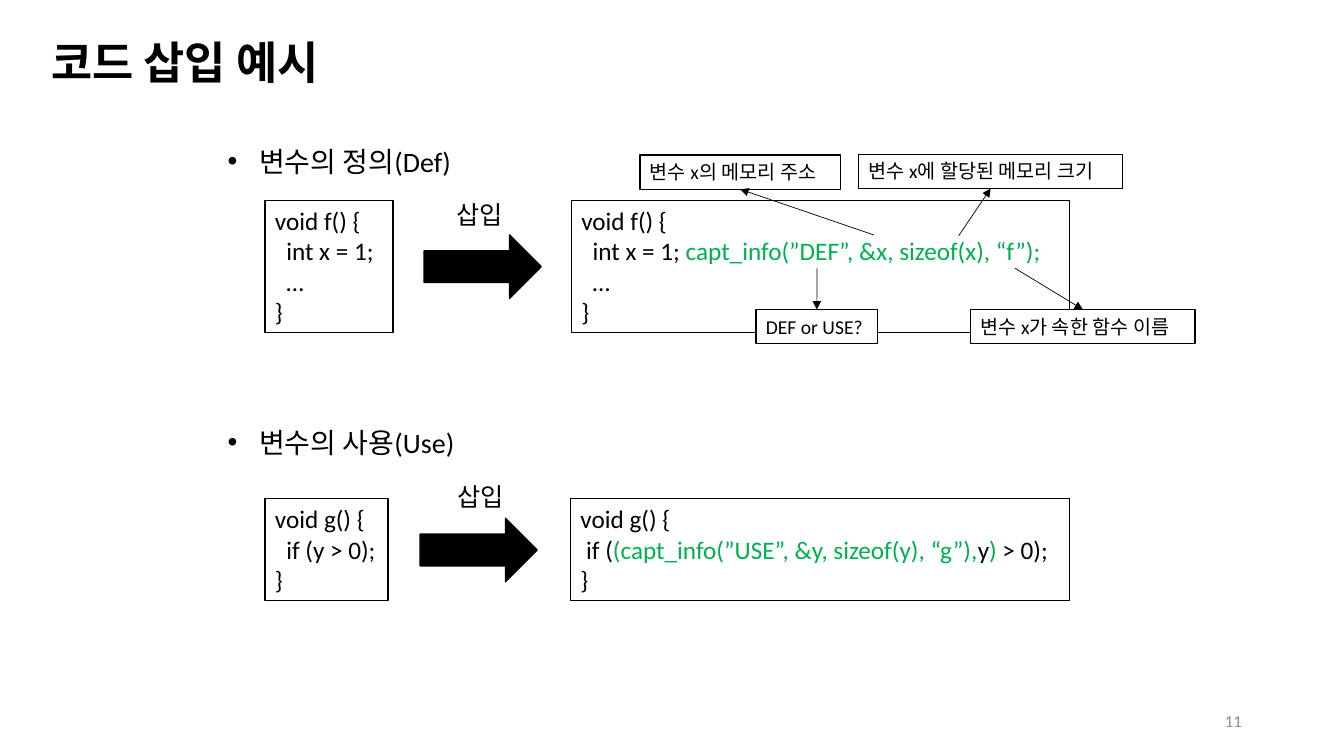
"""Build the slide that shows how probe code is inserted at variable definitions and uses."""
from pptx import Presentation
from pptx.dml.color import RGBColor
from pptx.enum.shapes import MSO_CONNECTOR, MSO_SHAPE
from pptx.enum.text import MSO_ANCHOR, MSO_AUTO_SIZE, PP_ALIGN
from pptx.oxml.ns import qn
from pptx.util import Cm, Pt

BLACK = RGBColor(0x00, 0x00, 0x00)
WHITE = RGBColor(0xFF, 0xFF, 0xFF)
GREEN = RGBColor(0x00, 0xB0, 0x50)
GRAY = RGBColor(0x8C, 0x8C, 0x8C)
STRAIGHT = MSO_CONNECTOR.STRAIGHT
RIGHT_ARROW = MSO_SHAPE.RIGHT_ARROW
TOP, MIDDLE = MSO_ANCHOR.TOP, MSO_ANCHOR.MIDDLE
LEFT, RIGHT = PP_ALIGN.LEFT, PP_ALIGN.RIGHT
GROW = MSO_AUTO_SIZE.SHAPE_TO_FIT_TEXT
TOP_SITE, BOTTOM_SITE = 0, 2

TITLE = {"name": "Arial", "size": Pt(32), "bold": True}
HEADING = {"name": "Calibri", "size": Pt(20)}
CODE = {"name": "Calibri", "size": Pt(18)}
NOTE = {"name": "Calibri", "size": Pt(14)}
PAGE = {"name": "Calibri", "size": Pt(12)}

SECTIONS = [
    {
        "heading": ("변수의 정의(Def)", 3.51),
        "before": ((6.68, 5.05, 3.23, 3.33),
                   ["void f() {", "  int x = 1;", "  …", "}"], True),
        "after": ((14.4, 5.05, 12.55, 3.33),
                  ["void f() {",
                   [("  int x = 1; ", BLACK),
                    ("capt_info(”DEF”, &x, sizeof(x), “f”);", GREEN)],
                   "  …", "}"], False),
        "arrow": (10.69, 5.92),
        "label": (11.25, 4.9),
    },
    {
        "heading": ("변수의 사용(Use)", 10.59),
        "before": ((6.68, 12.57, 3.1, 2.57),
                   ["void g() {", "  if (y > 0);", "}"], False),
        "after": ((14.38, 12.57, 12.57, 2.57),
                  ["void g() {",
                   [(" if (", BLACK),
                    ("(capt_info(”USE”, &y, sizeof(y), “g”),", GREEN),
                    ("y", BLACK), (")", GREEN), (" > 0);", BLACK)],
                   "}"], False),
        "arrow": (10.59, 13.06),
        "label": (11.28, 12.01),
    },
]

CALLOUTS = [
    ("변수 x의 메모리 주소", (16.13, 3.91, 5.05, 0.86), False, (22.02, 5.92), BOTTOM_SITE),
    ("변수 x에 할당된 메모리 크기", (21.64, 3.89, 6.65, 0.86), False, (24.16, 5.94), BOTTOM_SITE),
    ("변수 x가 속한 함수 이름", (24.46, 7.8, 5.66, 0.86), False, (25.58, 6.76), TOP_SITE),
    ("DEF or USE?", (19.05, 7.8, 3.07, 0.86), True, (20.59, 6.76), TOP_SITE),
]


def add_text(slide, bounds, lines, style, color=BLACK, wrap=True, anchor=TOP, align=LEFT, grow=True):
    """Add a text box; a line is a string or a list of (text, colour) pieces."""
    box = slide.shapes.add_textbox(*map(Cm, bounds))
    frame = box.text_frame
    frame.word_wrap = wrap
    frame.vertical_anchor = anchor
    if grow:
        frame.auto_size = GROW
    for index, line in enumerate(lines):
        paragraph = frame.add_paragraph() if index else frame.paragraphs[0]
        paragraph.alignment = align
        pieces = [(line, color)] if isinstance(line, str) else line
        for text, piece_color in pieces:
            run = paragraph.add_run()
            run.text = text
            for attribute, value in style.items():
                setattr(run.font, attribute, value)
            run.font.color.rgb = piece_color
    return box


def add_framed_text(slide, bounds, lines, style, wrap):
    """Add a white text box with a thin black frame."""
    framed = add_text(slide, bounds, lines, style, wrap=wrap)
    framed.fill.solid()
    framed.fill.fore_color.rgb = WHITE
    framed.line.color.rgb = BLACK
    framed.line.width = Pt(1)
    return framed


def add_heading(slide, text, top):
    """Add a bulleted section heading."""
    heading = add_text(slide, (5.49, top, 9.58, 1.12), [text], HEADING)
    properties = heading.text_frame.paragraphs[0]._p.get_or_add_pPr()
    properties.set("marL", str(Cm(0.79)))
    properties.set("indent", str(-Cm(0.79)))
    for tag, attribute, value in (("a:buFont", "typeface", "Arial"), ("a:buChar", "char", "•")):
        properties.makeelement(qn(tag), {})
        bullet = properties.makeelement(qn(tag), {attribute: value})
        properties.append(bullet)


def add_insert_arrow(slide, left, top):
    """Add the black block arrow between the code before and after."""
    arrow = slide.shapes.add_shape(RIGHT_ARROW, Cm(left), Cm(top), Cm(2.95), Cm(1.6))
    arrow.shadow.inherit = False
    arrow.fill.solid()
    arrow.fill.fore_color.rgb = BLACK
    arrow.line.color.rgb = BLACK
    arrow.line.width = Pt(1)


def add_pointer(slide, start, callout, site):
    """Add a thin arrow from a code argument to its callout."""
    left, top = map(Cm, start)
    pointer = slide.shapes.add_connector(STRAIGHT, left, top, left, top)
    pointer.end_connect(callout, site)
    pointer.line.color.rgb = BLACK
    pointer.line.width = Pt(0.5)
    outline = pointer.line._get_or_add_ln()
    outline.append(outline.makeelement(qn("a:tailEnd"), {"type": "triangle"}))
    properties = pointer._element.spPr
    properties.append(properties.makeelement(qn("a:effectLst"), {}))


def add_section(slide, section):
    """Add a heading and its code before and after the insertion."""
    add_heading(slide, *section["heading"])
    for stage in ("before", "after"):
        bounds, lines, wrap = section[stage]
        add_framed_text(slide, bounds, lines, CODE, wrap)
    add_insert_arrow(slide, *section["arrow"])
    add_text(slide, (*section["label"], 1.8, 1.02), ["삽입"], CODE, wrap=False)


def main():
    """Build and save the slide."""
    presentation = Presentation()
    presentation.slide_width, presentation.slide_height = Cm(33.87), Cm(19.05)
    slide = presentation.slides.add_slide(presentation.slide_layouts[6])
    add_text(slide, (1.04, 0.97, 32.82, 1.14), ["코드 삽입 예시"], TITLE, anchor=MIDDLE, grow=False)
    for section in SECTIONS:
        add_section(slide, section)
    for text, bounds, wrap, start, site in CALLOUTS:
        callout = add_framed_text(slide, bounds, [text], NOTE, wrap)
        add_pointer(slide, start, callout, site)
    add_text(slide, (23.93, 17.65, 7.62, 1.02), ["11"], PAGE, GRAY,
             anchor=MIDDLE, align=RIGHT, grow=False)
    presentation.save("out.pptx")


if __name__ == "__main__":
    main()
